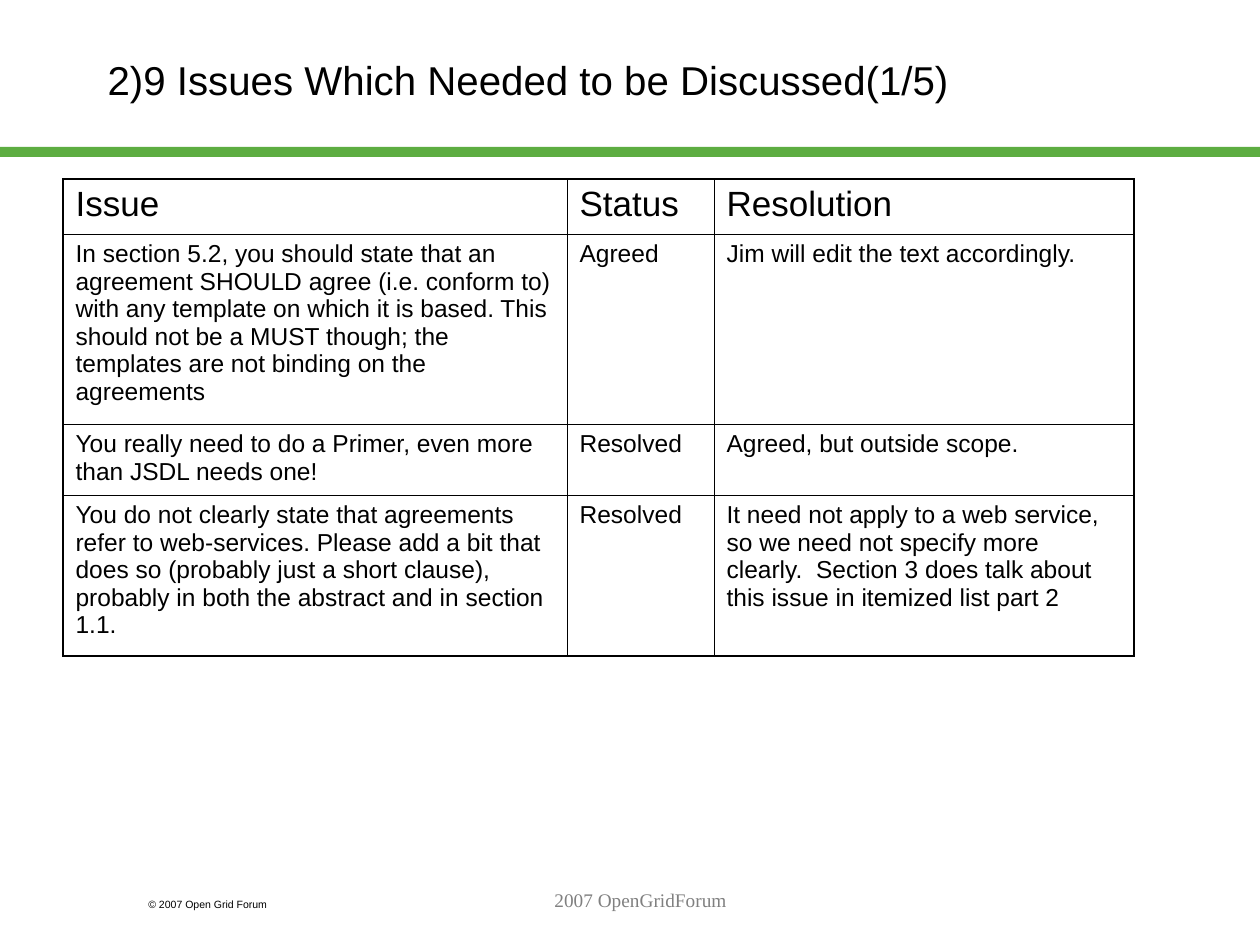
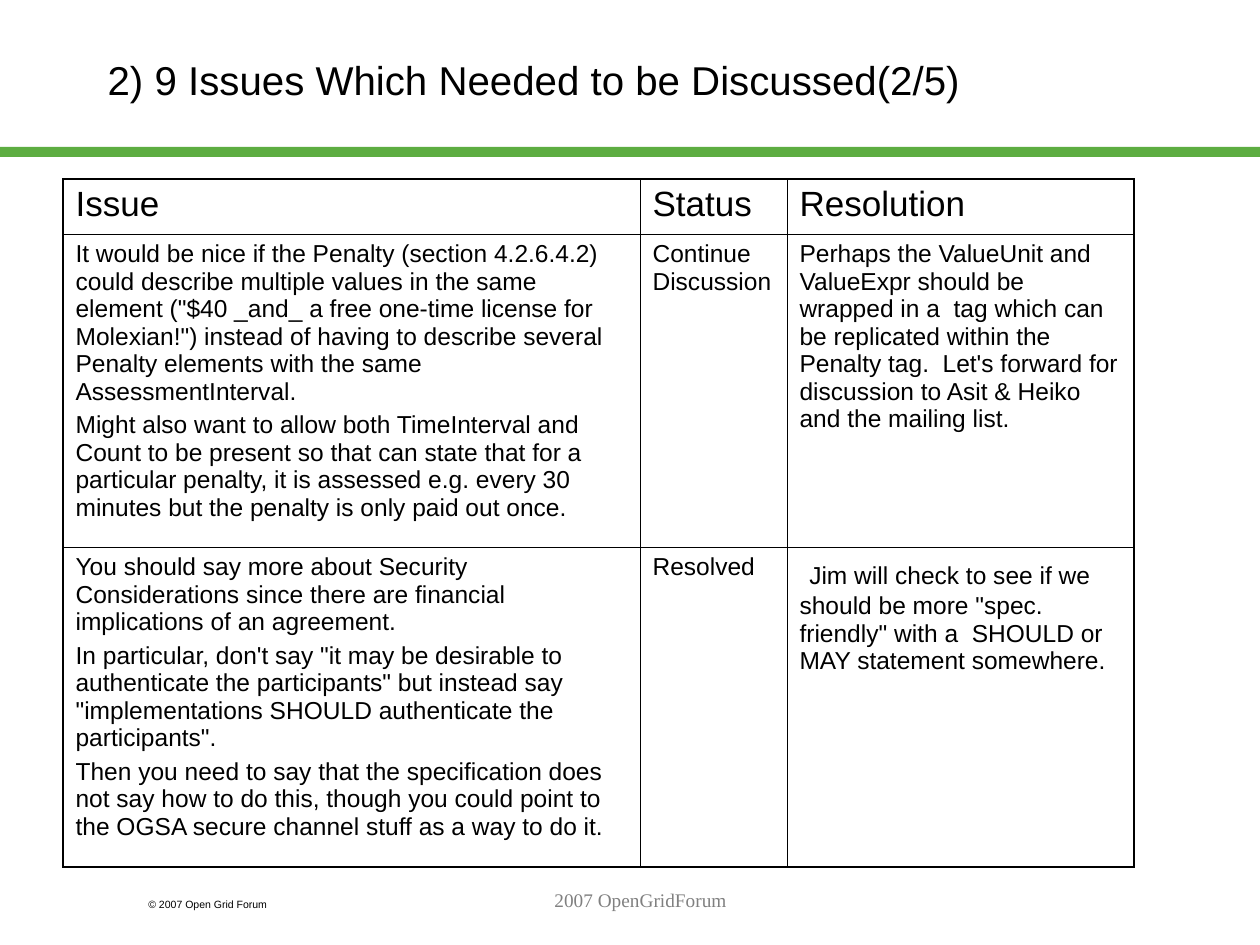
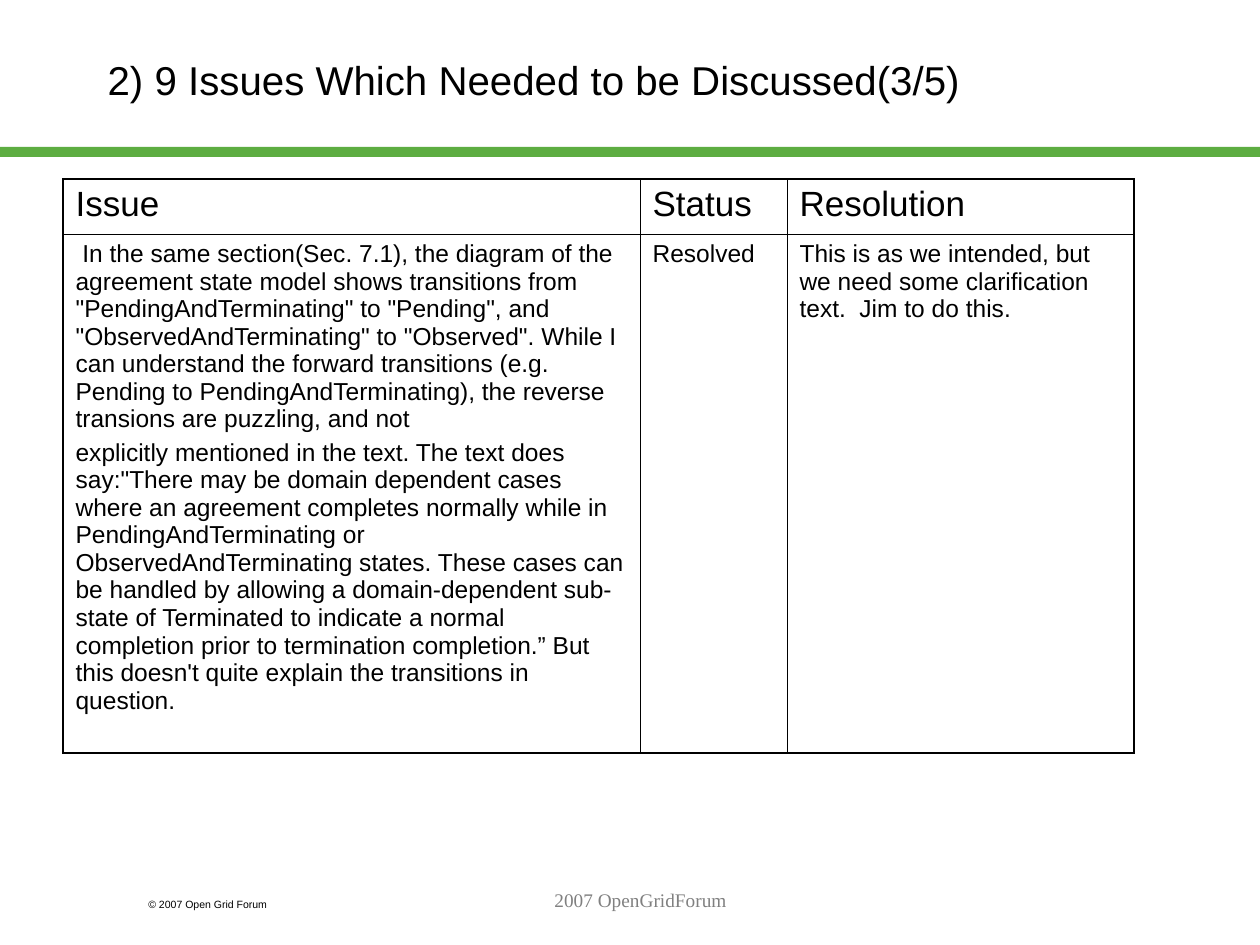
"""Build three slides of issue tables with a shared title, band and footers."""
from lxml import etree
from pptx import Presentation
from pptx.dml.color import RGBColor
from pptx.enum.shapes import MSO_SHAPE
from pptx.enum.text import MSO_ANCHOR, MSO_AUTO_SIZE, PP_ALIGN
from pptx.oxml.ns import qn
from pptx.util import Emu, Pt

RECT = MSO_SHAPE.RECTANGLE
LEFT, CENTER = PP_ALIGN.LEFT, PP_ALIGN.CENTER
TOP, MIDDLE = MSO_ANCHOR.TOP, MSO_ANCHOR.MIDDLE
NO_FIT = MSO_AUTO_SIZE.NONE
PX = 914400 / 126
TITLE_ONLY = 5

THEME = {
    "band": "5DAD41",
    "line": "000000",
    "outer": 1.08,
    "inner": 0.45,
    "title": {"size": 23, "name": "Arial", "color": "000000", "align": LEFT, "gap": 0},
    "head": {"size": 20, "name": "Arial", "color": "000000", "align": LEFT, "gap": 5},
    "body": {"size": 14, "name": "Arial", "color": "000000", "align": LEFT, "gap": 3.5},
    "copyright": {"size": 6, "name": "Arial", "color": "000000", "align": LEFT, "gap": 0},
    "footer": {"size": 11, "name": "Times New Roman", "color": "808080", "align": CENTER, "gap": 0},
}
FRAME = {"word_wrap": True, "auto_size": NO_FIT, "margin_left": Pt(7.2),
         "margin_right": Pt(7.2), "margin_top": Pt(3.6), "margin_bottom": Pt(3.6)}

HEADINGS = ("Issue", "Status", "Resolution")
TABLE_LEFT, TABLE_TOP = 63, 179
FOOTERS = (
    ("copyright", (136, 892, 189, 25), "© 2007 Open Grid Forum"),
    ("footer", (273, 882, 735, 63), "2007 OpenGridForum"),
)

SLIDES = (
    {
        "title": "2)9 Issues Which Needed to be Discussed(1/5)",
        "cols": (504, 147, 420),
        "rows": (55, 190, 71, 161),
        "issues": (
            (["In section 5.2, you should state that an agreement SHOULD agree (i.e. conform to) "
              "with any template on which it is based. This should not be a MUST though; "
              "the templates are not binding on the agreements"],
             ["Agreed"],
             ["Jim will edit the text accordingly."]),
            (["You really need to do a Primer, even more than JSDL needs one!"],
             ["Resolved"],
             ["Agreed, but outside scope."]),
            (["You do not clearly state that agreements refer to web-services. Please add a bit "
              "that does so (probably just a short clause), probably in both the abstract and "
              "in section 1.1."],
             ["Resolved"],
             ["It need not apply to a web service, so we need not specify more clearly.  "
              "Section 3 does talk about this issue in itemized list part 2"]),
        ),
    },
    {
        "title": "2) 9 Issues Which Needed to be Discussed(2/5)",
        "cols": (577, 147, 347),
        "rows": (55, 313, 320),
        "issues": (
            (["It would be nice if the Penalty (section 4.2.6.4.2) could describe multiple values "
              "in the same element (\"$40 _and_ a free one-time license for Molexian!\") instead of "
              "having to describe several Penalty elements with the same AssessmentInterval.",
              "Might also want to allow both TimeInterval and Count to be present so that can "
              "state that for a particular penalty, it is assessed e.g. every 30 minutes but "
              "the penalty is only paid out once."],
             ["Continue Discussion"],
             ["Perhaps the ValueUnit and ValueExpr should be wrapped in a  tag which can be "
              "replicated within the Penalty tag.  Let's forward for discussion to Asit & Heiko "
              "and the mailing list."]),
            (["You should say more about Security Considerations since there are financial "
              "implications of an agreement.",
              "In particular, don't say \"it may be desirable to authenticate the participants\" "
              "but instead say \"implementations SHOULD authenticate the participants\".",
              "Then you need to say that the specification does not say how to do this, though "
              "you could point to the OGSA secure channel stuff as a way to do it."],
             ["Resolved"],
             [((" ", "head"),
               ("Jim will check to see if we should be more \"spec. friendly\" with a  SHOULD or "
                "MAY statement somewhere.", "body"))]),
        ),
    },
    {
        "title": "2) 9 Issues Which Needed to be Discussed(3/5)",
        "cols": (577, 147, 347),
        "rows": (55, 519),
        "issues": (
            ([" In the same section(Sec. 7.1), the diagram of the agreement state model shows "
              "transitions from \"PendingAndTerminating\" to \"Pending\", and "
              "\"ObservedAndTerminating\" to \"Observed\". While I can understand the forward "
              "transitions (e.g. Pending to PendingAndTerminating), the reverse transions are "
              "puzzling, and not",
              "explicitly mentioned in the text. The text does say:\"There may be domain dependent "
              "cases where an agreement completes normally while in PendingAndTerminating or "
              "ObservedAndTerminating states. These cases can be handled by allowing a "
              "domain-dependent sub-state of Terminated to indicate a normal completion prior to "
              "termination completion.” But this doesn't quite explain the transitions in "
              "question."],
             ["Resolved"],
             ["This is as we intended, but we need some clarification text.  Jim to do this."]),
        ),
    },
)


def box(*lengths):
    """Turn px lengths into EMU."""
    return [Emu(round(n * PX)) for n in lengths]


def write(tf, paragraphs, style):
    """Fill a text frame with paragraphs in one of the theme's text styles."""
    for i, para in enumerate(paragraphs):
        p = tf.add_paragraph() if i else tf.paragraphs[0]
        p.alignment = THEME[style]["align"]
        p.space_before = Pt(THEME[style]["gap"] if i else 0)
        for text, look in ((para, style),) if isinstance(para, str) else para:
            fmt = THEME[look]
            r = p.add_run()
            r.text = text
            for key, value in {"size": Pt(fmt["size"]), "name": fmt["name"], "bold": False}.items():
                setattr(r.font, key, value)
            r.font.color.rgb = RGBColor.from_string(fmt["color"])


prs = Presentation()
prs.slide_width, prs.slide_height = box(1260, 945)

for page in SLIDES:
    s = prs.slides.add_slide(prs.slide_layouts[TITLE_ONLY])

    band = s.shapes.add_shape(RECT, *box(0, 147, 1260, 10))
    band.shadow.inherit = False
    band.fill.solid()
    band.fill.fore_color.rgb = RGBColor.from_string(THEME["band"])
    band.line.fill.background()

    title = s.shapes.title
    title.left, title.top, title.width, title.height = box(95, 21, 882, 116)
    for key, value in {**FRAME, "vertical_anchor": MIDDLE}.items():
        setattr(title.text_frame, key, value)
    write(title.text_frame, [page["title"]], "title")

    cols, rows = page["cols"], page["rows"]
    area = box(TABLE_LEFT, TABLE_TOP, sum(cols), sum(rows))
    table = s.shapes.add_table(len(rows), len(cols), *area).table
    table.first_row = table.horz_banding = False
    for col, width in zip(table.columns, box(*cols)):
        col.width = width
    for row, height in zip(table.rows, box(*rows)):
        row.height = height

    grid = (tuple([heading] for heading in HEADINGS),) + page["issues"]
    for i, row in enumerate(grid):
        for j, paragraphs in enumerate(row):
            cell = table.cell(i, j)
            cell.vertical_anchor = TOP
            write(cell.text_frame, paragraphs, "body" if i else "head")
            tc_pr = cell._tc.get_or_add_tcPr()
            edges = {"lnL": j == 0, "lnR": j == len(cols) - 1,
                     "lnT": i == 0, "lnB": i == len(rows) - 1}
            for tag, is_outer in edges.items():
                weight = Pt(THEME["outer" if is_outer else "inner"])
                ln = etree.SubElement(tc_pr, qn("a:" + tag), w=str(weight))
                fill = etree.SubElement(ln, qn("a:solidFill"))
                etree.SubElement(fill, qn("a:srgbClr"), val=THEME["line"])
            cell.fill.background()

    for style, place, text in FOOTERS:
        tf = s.shapes.add_textbox(*box(*place)).text_frame
        for key, value in FRAME.items():
            setattr(tf, key, value)
        write(tf, [text], style)

prs.save("out.pptx")
